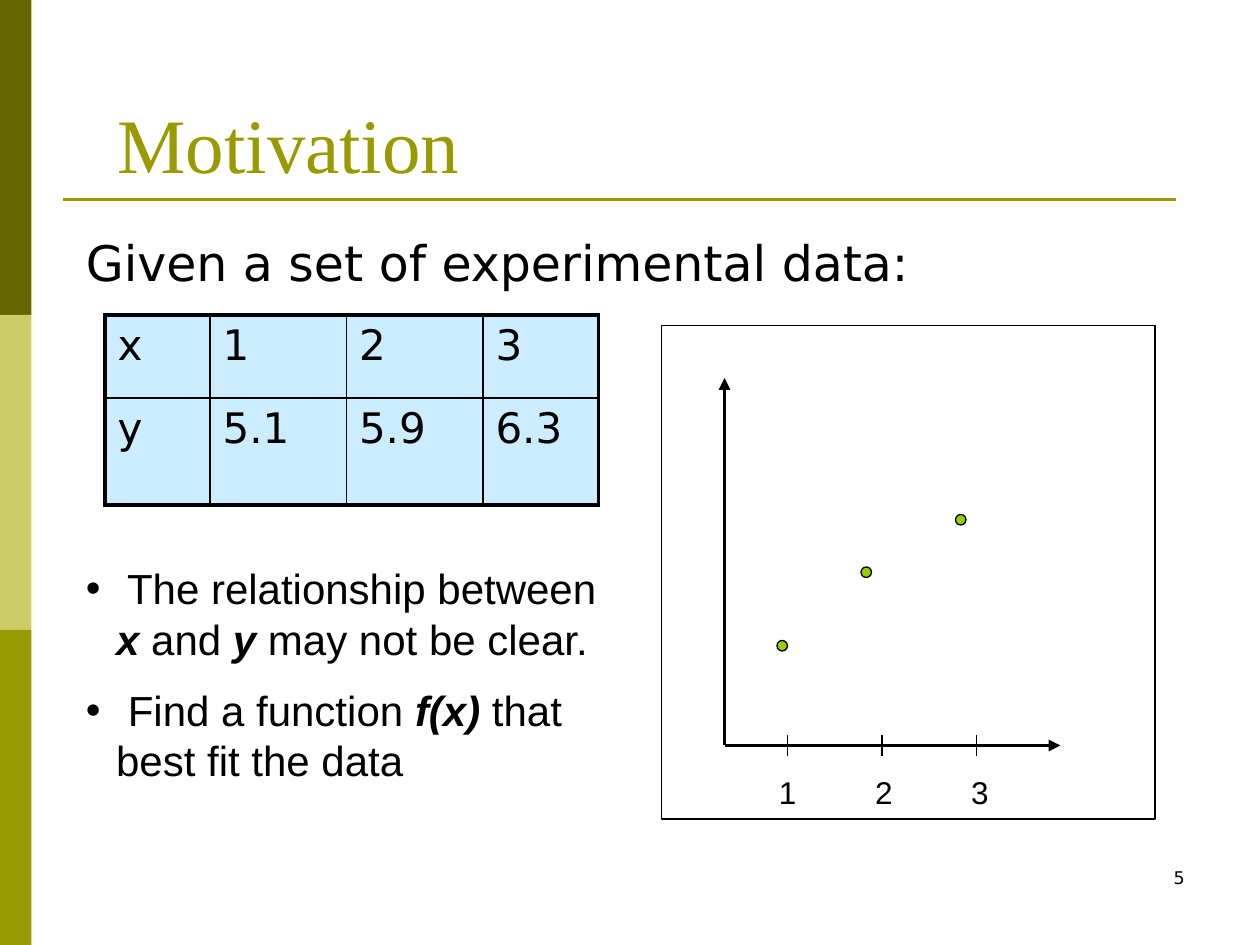
from lxml import etree
from pptx import Presentation
from pptx.dml.color import RGBColor
from pptx.enum.shapes import MSO_CONNECTOR, MSO_SHAPE
from pptx.enum.text import MSO_ANCHOR, PP_ALIGN
from pptx.oxml.ns import qn
from pptx.util import Inches, Pt

RECT, DOT = MSO_SHAPE.RECTANGLE, MSO_SHAPE.OVAL
STRAIGHT = MSO_CONNECTOR.STRAIGHT
TOP, BOTTOM = MSO_ANCHOR.TOP, MSO_ANCHOR.BOTTOM
LEFT, RIGHT = PP_ALIGN.LEFT, PP_ALIGN.RIGHT

BLACK = RGBColor(0x00, 0x00, 0x00)
DARK = RGBColor(0x66, 0x66, 0x00)
PALE = RGBColor(0xCC, 0xCC, 0x66)
OLIVE = RGBColor(0x99, 0x99, 0x00)
SKY = RGBColor(0xCC, 0xEC, 0xFF)
LIME = RGBColor(0x99, 0xCC, 0x00)
SANS, ARIAL, SERIF = "DejaVu Sans", "Arial", "Times New Roman"

deck = Presentation()
deck.slide_width, deck.slide_height = Inches(10), Inches(7.5)
slide = deck.slides.add_slide(deck.slide_layouts[6])
shapes = slide.shapes
UNIT = deck.slide_width // 120  # the slide is a grid of 120 by 90 units


def write(frame, text, size=24, font=SANS, color=BLACK, align=LEFT,
          anchor=TOP, bullet=None, tab=None):
    """Fill a frame, one paragraph a line; words between * are bold italic."""
    frame.word_wrap = True
    frame.vertical_anchor = anchor
    for i, row in enumerate(text.split("\n")):
        para = frame.add_paragraph() if i else frame.paragraphs[0]
        para.alignment = align
        if i:
            para.space_before = Pt(size / 2)
        props = para._p.get_or_add_pPr()
        if bullet:
            hang = Inches(0.24)
            props.set("marL", str(hang))
            props.set("indent", str(-hang))
            etree.SubElement(props, qn("a:buFont"), typeface=font)
            etree.SubElement(props, qn("a:buChar"), char=bullet)
        if tab:
            stops = etree.SubElement(props, qn("a:tabLst"))
            for n in (1, 2):
                etree.SubElement(stops, qn("a:tab"), pos=str(int(n * tab)), algn="l")
        for j, part in enumerate(row.split("*")):
            run = para.add_run()
            run.text = part
            run.font.size, run.font.name = Pt(size), font
            run.font.color.rgb = color
            run.font.bold = run.font.italic = j % 2 == 1


def draw(x1, y1, x2, y2, width, color=BLACK, arrow=False):
    """Draw a straight line between two grid points."""
    ends = [int(v * UNIT) for v in (x1, y1, x2, y2)]
    line = shapes.add_connector(STRAIGHT, *ends)
    line.line.width = Pt(width)
    line.line.color.rgb = color
    if arrow:
        etree.SubElement(line.line._get_or_add_ln(), qn("a:tailEnd"), type="triangle")
    etree.SubElement(line._element.spPr, qn("a:effectLst"))


# Side band, chart frame and data points
blocks = [(RECT, 0, 30 * n, 3, 30, fill, None)
          for n, fill in enumerate((DARK, PALE, OLIVE))]
blocks.append((RECT, 63, 31, 47, 47, None, BLACK))
blocks += [(DOT, x, y, 1, 1, LIME, BLACK) for x, y in ((74, 61), (82, 54), (91, 49))]
for kind, x, y, w, h, fill, edge in blocks:
    block = shapes.add_shape(kind, x * UNIT, y * UNIT, w * UNIT, h * UNIT)
    block.shadow.inherit = False
    if fill is None:
        block.fill.background()
    else:
        block.fill.solid()
        block.fill.fore_color.rgb = fill
    if edge is None:
        block.line.fill.background()
    else:
        block.line.color.rgb = edge
        block.line.width = Pt(0.75)

# Title rule, axes and ticks
draw(6, 19, 112, 19, 1.5, OLIVE)
draw(69, 71, 69, 36, 2.25, arrow=True)
draw(69, 71, 101, 71, 2.25, arrow=True)
for n in range(3):
    draw(75 + 9 * n, 70, 75 + 9 * n, 72, 0.75)

# Text boxes
points = (" The relationship between *x* and *y* may not be clear.\n"
          " Find a function *f(x)* that best fit the data")
texts = [
    ((10, 3.6, 98, 15), "Motivation",
     dict(size=44, font=SERIF, color=OLIVE, anchor=BOTTOM)),
    ((7, 21.6, 99, 6), "Given a set of experimental data:", dict(size=28)),
    ((7, 53, 52, 23), points, dict(font=ARIAL, bullet="•")),
    ((73, 73, 28, 4.8), "1\t2\t3", dict(size=18, font=ARIAL, tab=9.15 * UNIT)),
    ((86, 82, 28, 6), "5", dict(size=10, align=RIGHT)),
]
for place, text, look in texts:
    box = shapes.add_textbox(*[int(v * UNIT) for v in place])
    write(box.text_frame, text, **look)

# Data table: thick outer border, thin inner lines
data = [("x", "1", "2", "3"), ("y", "5.1", "5.9", "6.3")]
cols, rows = (10, 13, 13, 11), (7.9, 10.2)
table = shapes.add_table(2, 4, 10 * UNIT, 30 * UNIT, sum(cols) * UNIT,
                         int(sum(rows) * UNIT)).table
table.first_row = table.horz_banding = False
for c, w in enumerate(cols):
    table.columns[c].width = w * UNIT
for r, h in enumerate(rows):
    table.rows[r].height = int(h * UNIT)
    for c, text in enumerate(data[r]):
        cell = table.cell(r, c)
        write(cell.text_frame, text)
        props = cell._tc.get_or_add_tcPr()
        outer = {"L": c == 0, "R": c == 3, "T": r == 0, "B": r == 1}
        for side, thick in outer.items():
            edge = etree.SubElement(props, qn("a:ln" + side),
                                    w=str(Pt(2.25 if thick else 1)))
            paint = etree.SubElement(edge, qn("a:solidFill"))
            etree.SubElement(paint, qn("a:srgbClr"), val=str(BLACK))
        cell.fill.solid()
        cell.fill.fore_color.rgb = SKY

deck.save("out.pptx")
